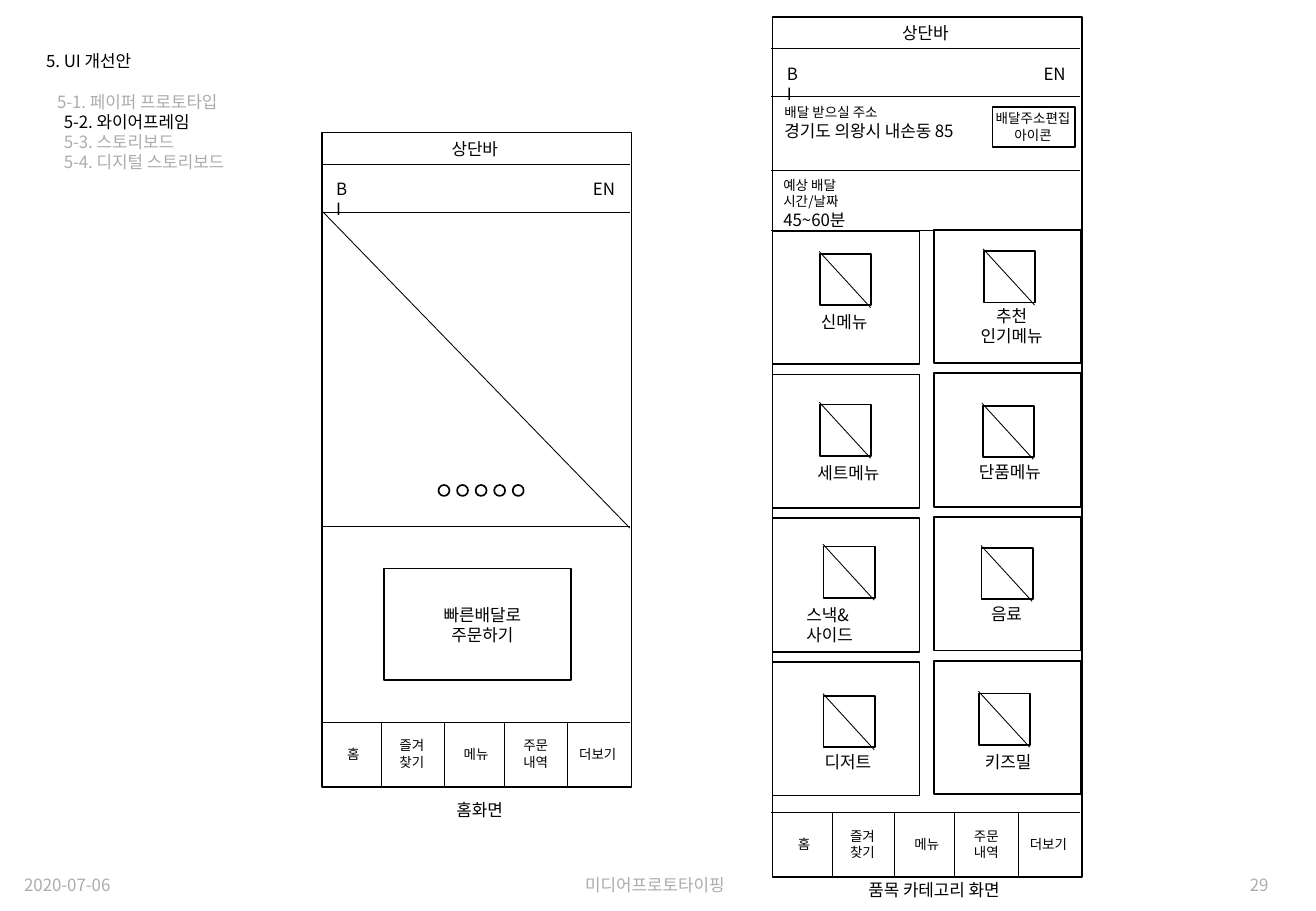
from pptx import Presentation
from pptx.dml.color import RGBColor
from pptx.enum.shapes import MSO_CONNECTOR, MSO_SHAPE
from pptx.enum.text import PP_ALIGN
from pptx.oxml.ns import qn
from pptx.util import Pt
from lxml import etree

RECT, OVAL = MSO_SHAPE.RECTANGLE, MSO_SHAPE.OVAL
LINE = MSO_CONNECTOR.STRAIGHT
LEFT, MID = PP_ALIGN.LEFT, PP_ALIGN.CENTER
FONT = "Noto Sans CJK KR"
BLACK, GRAY = "000000", "AFABAB"
WIDE = 183.6   # width of a phone frame
ICON = 30.4

# label, x offset, width
TABS = [("홈", 7.9, 26), ("즐겨\n찾기", 38.9, 33), ("메뉴", 77, 33),
        ("주문\n내역", 112.3, 33), ("더보기", 145.4, 42)]
SPLITS = [35.3, 72.4, 108, 145.8]

# icon x, icon y, label, label x, label y, label width, alignment
CARDS = [
    (486, 150.5, "신메뉴", 479.5, 181.4, 47, LEFT),
    (583.2, 149, "추천\n인기메뉴", 571.1, 177.8, 57, MID),
    (486, 239.8, "세트메뉴", 477.4, 270.7, 57, LEFT),
    (582.5, 240.5, "단품메뉴", 573.1, 270, 57, LEFT),
    (488.2, 324, "스낵&사이드", 470.9, 355, 64, LEFT),
    (581.8, 324.7, "음료", 580.3, 354.2, 37, LEFT),
    (488.2, 412.6, "디저트", 481.7, 442.1, 47, LEFT),
    (580.3, 411.1, "키즈밀", 576.7, 442.1, 47, LEFT),
]

# text, colour, indent, space before
OUTLINE = [("5. UI 개선안", BLACK, 0, 0),
           ("5-1. 페이퍼 프로토타입", GRAY, 6.5, 12),
           ("5-2. 와이어프레임", BLACK, 10.5, 0),
           ("5-3. 스토리보드", GRAY, 10.5, 0),
           ("5-4. 디지털 스토리보드", GRAY, 10.5, 0)]


def paint(code):
    return RGBColor.from_string(code)


def style(para, size=10, color=BLACK, align=LEFT, indent=0, before=0):
    if indent:
        para._p.get_or_add_pPr().set("marL", str(Pt(indent)))
    para.alignment = align
    para.line_spacing = Pt(size * 1.2)
    para.space_before = Pt(before)
    for run in para.runs:
        font = run.font
        font.name, font.size = FONT, Pt(size)
        font.color.rgb = paint(color)
        east = etree.SubElement(run._r.get_or_add_rPr(), qn("a:ea"))
        east.set("typeface", FONT)


def text(slide, words, x, y, w, sizes=(), **form):
    """Add a text box; sizes gives a size for each paragraph."""
    rows = words.split("\n")
    box = slide.shapes.add_textbox(Pt(x), Pt(y), Pt(w), Pt(7.2 + 12 * len(rows)))
    frame = box.text_frame
    frame.word_wrap = True
    frame.text = words
    for i, para in enumerate(frame.paragraphs):
        if sizes:
            form["size"] = sizes[i]
        style(para, **form)
    return frame


def shape(slide, x, y, w, h, kind=RECT):
    item = slide.shapes.add_shape(kind, Pt(x), Pt(y), Pt(w), Pt(h))
    item.shadow.inherit = False
    item.fill.background()
    item.line.color.rgb = paint(BLACK)
    item.line.width = Pt(1)


def line(slide, x1, y1, x2, y2):
    item = slide.shapes.add_connector(LINE, Pt(x1), Pt(y1), Pt(x2), Pt(y2))
    item.line.color.rgb = paint(BLACK)
    item.line.width = Pt(0.5)
    etree.SubElement(item._element.spPr, qn("a:effectLst"))


def rule(slide, x, y):
    line(slide, x - 0.7, y, x + WIDE - 1.2, y)


def phone(slide, x, y, high):
    """Add a frame with its top bar, header and tab bar."""
    shape(slide, x, y, WIDE, high)
    rule(slide, x, y + 18.7)
    rule(slide, x, y + 47.3)
    text(slide, "상단바", x + 69.8, y, 47)
    text(slide, "BI", x + 1.4, y + 23.8, 23)
    text(slide, "EN", x + 153.6, y + 23.8, 31)
    base = y + high
    top = base - 38.5
    rule(slide, x, top)
    for gap in SPLITS:
        line(slide, x + gap, top, x + gap, base)
    for words, gap, w in TABS:
        drop = 5.6 if "\n" in words else 10.6
        text(slide, words, x + gap, top + drop, w, size=8)


def home(slide):
    x, y = 190.8, 78.5
    phone(slide, x, y, 388)
    rule(slide, x, 311.8)
    line(slide, x, 125, x + 182.5, 313)
    for i in range(5):
        shape(slide, 259.9 + 11 * i, 287.5, 6.5, 6.5, OVAL)
    shape(slide, 227.5, 337, 110.9, 66.2)
    text(slide, "빠른배달로\n주문하기", 252.9, 355, 66, align=MID)
    text(slide, "홈화면", 263.5, 470.2, 47)


def card(slide, i, x, y, words, left, top, w, align):
    row, col = divmod(i, 2)
    shape(slide, 457.9 + 95.8 * col, 136.8 + 85.2 * row - 0.7 * col, 87.1, 79.2)
    shape(slide, x, y, ICON, ICON)
    line(slide, x - 0.4, y - 1.4, x + ICON - 0.4, y + ICON + 1.4)
    text(slide, words, left, top, w, align=align)


def menu(slide):
    x, y = 457.9, 10.1
    phone(slide, x, y, 509.8)
    rule(slide, x, 100.8)
    rule(slide, x, 136.8)
    text(slide, "배달 받으실 주소\n경기도 의왕시 내손동 85", x, 58.3, 124, sizes=(8, 10))
    shape(slide, 588.2, 63.4, 49, 23.8)
    text(slide, "배달주소편집\n아이콘", 580.4, 61.9, 64, size=8, align=MID)
    text(slide, "예상 배달 시간/날짜\n45~60분", 457.2, 101.5, 76, sizes=(8, 10))
    for i, item in enumerate(CARDS):
        card(slide, i, *item)
    text(slide, "품목 카테고리 화면", 507.6, 517.7, 100)


def outline(slide):
    frame = text(slide, "\n".join(row[0] for row in OUTLINE), 20.2, 26.6, 165)
    for para, (_, color, indent, before) in zip(frame.paragraphs, OUTLINE):
        style(para, color=color, indent=indent, before=before)


def main():
    deck = Presentation()
    deck.slide_width, deck.slide_height = Pt(780), Pt(540)
    slide = deck.slides.add_slide(deck.slide_layouts[6])
    for words, x, w in [("2020-07-06", 7.2, 76), ("미디어프로토타이핑", 339.8, 104),
                        ("29", 733.7, 40)]:
        text(slide, words, x, 514.8, w, color=GRAY)
    outline(slide)
    home(slide)
    menu(slide)
    deck.save("out.pptx")


if __name__ == "__main__":
    main()
